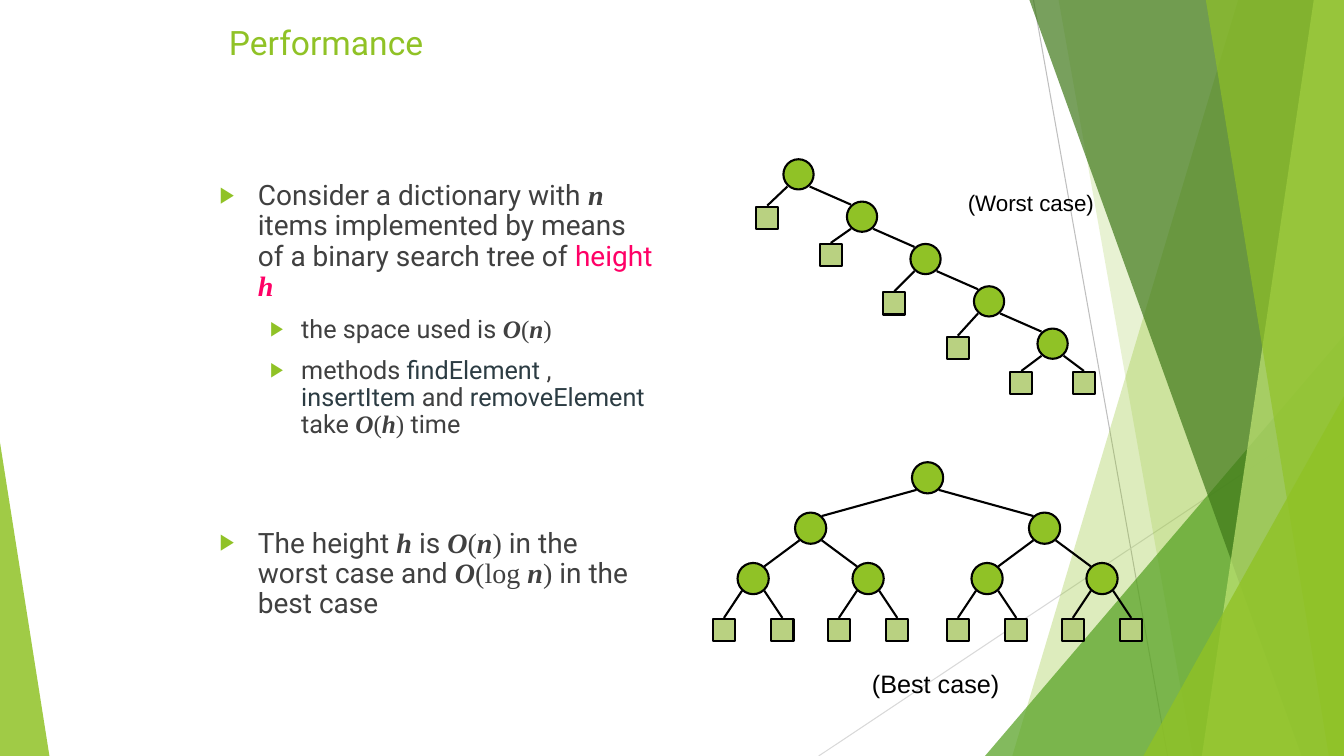
import pptx
import pptx.chart.data
import pptx.dml.color
import pptx.enum.shapes
import pptx.enum.text
import pptx.oxml
import pptx.oxml.ns
import pptx.util
from pptx.util import Inches, Pt

COLORS = {
    "green": "90C226", "mid": "54A021", "dark": "3F7819", "light": "C0E474",
    "leaf": "B9D181", "black": "000000", "text": "404040", "method": "2C3C43",
    "key": "FF0066", "gray": "BFBFBF", "pale": "D9D9D9",
}
WIDTH, HEIGHT = 13.33, 7.5

# Run styles: font, colour, bold and italic
STYLES = {
    "plain": ("Roboto", "text", False),
    "method": ("Roboto", "method", False),
    "key": ("Roboto", "key", False),
    "serif": ("Times New Roman", "text", False),
    "math": ("Times New Roman", "text", True),
    "key math": ("Times New Roman", "key", True),
}
# Level, space before, runs
BODY = [
    (0, 0, [("Consider a dictionary with ", "plain"), ("n", "math"),
            (" items implemented by means of a binary search tree of ", "plain"),
            ("height ", "key"), ("h", "key math")]),
    (1, 10, [("the space used is ", "plain"), ("O", "math"), ("(", "serif"),
             ("n", "math"), (")", "serif")]),
    (1, 10, [("methods ", "plain"), ("findElement ", "method"), (", ", "plain"),
             ("insertItem", "method"), (" and ", "plain"),
             ("removeElement", "method"), (" take ", "plain"), ("O", "math"),
             ("(", "serif"), ("h", "math"), (") ", "serif"), ("time", "plain")]),
    (0, 64, [("The height ", "plain"), ("h", "math"), (" is ", "plain"),
             ("O", "math"), ("(", "serif"), ("n", "math"), (") ", "serif"),
             ("in the worst case and ", "plain"), ("O", "math"),
             ("(log ", "serif"), ("n", "math"), (")", "serif"),
             (" in the best case", "plain")]),
]
# Size, left margin, hanging indent of each level
LEVELS = [(20, 0.38, -0.38), (18, 0.81, -0.31)]

# Text, left, top, width, height, size, wrap
CAPTIONS = [
    ("(Worst case)", 9.5, 1.83, 1.92, 0.37, 16, True),
    ("(Best case)", 8.55, 6.58, 1.47, 0.4, 18, False),
]
BACK_LINES = [
    ((10.25, 0), (11.58, HEIGHT), "gray"),
    ((WIDTH, 4.03), (8.12, HEIGHT), "pale"),
]
# Bands reach the right edge: left x at top, left x at bottom, colour, opacity.
# Triangles stand on the bottom edge: left, top, width, apex, colour, opacity.
BACK_SHAPES = [
    (12.28, 10.04, "green", 30),
    (10.5, 11.83, "green", 20),
    (9.77, 3.33, 3.56, 1, "mid", 72),
    (10.21, 12.91, "dark", 70),
    (13.03, 11.92, "light", 70),
    (11.96, 13.18, "green", 65),
    (11.34, 3.93, 1.99, 1, "green", 80),
    (0, 4.39, 0.49, 0, "green", 85),
]

WORST_ROOT, WORST_STEP, WORST_DIAMETER = (7.92, 1.73), (0.63, 0.42), 0.3
WORST_LEAF_TOPS = [2.05, 2.42, 2.9, 3.34, 3.69]
WORST_LEAF_OFFSET = 0.31
BEST_ROOT, BEST_DIAMETER = (9.2, 4.74), 0.31
BEST_LEVELS = [(1.16, 5.24), (0.57, 5.74), (0.29, 6.25)]  # x offset, y
LEAF_SIZE = 0.22
EDGE_X, EDGE_Y = 0.11, 0.12


def color(name):
    return pptx.dml.color.RGBColor.from_string(COLORS[name])


def apply(target, values):
    for name, value in values.items():
        setattr(target, name, value)


def add_line(slide, start, end, color_name, width):
    line = slide.shapes.add_connector(
        pptx.enum.shapes.MSO_CONNECTOR.STRAIGHT,
        *[Inches(value) for value in (*start, *end)])
    line.line.color.rgb = color(color_name)
    line.line.width = Pt(width)
    line._element.spPr.append(pptx.oxml.parse_xml(
        f'<a:effectLst {pptx.oxml.ns.nsdecls("a")}/>'))


def fill_shape(shape, color_name, opacity=100):
    shape.shadow.inherit = False
    shape.fill.solid()
    shape.fill.fore_color.rgb = color(color_name)
    if opacity < 100:
        fill = shape._element.spPr.find(".//" + pptx.oxml.ns.qn("a:srgbClr"))
        fill.append(pptx.oxml.parse_xml(
            f'<a:alpha {pptx.oxml.ns.nsdecls("a")} val="{opacity * 1000}"/>'))


def add_background(slide):
    for start, end, color_name in BACK_LINES:
        add_line(slide, start, end, color_name, 0.75)
    for *place, color_name, opacity in BACK_SHAPES:
        if len(place) == 2:
            top_x, bottom_x = place
            builder = slide.shapes.build_freeform(
                Inches(top_x), 0, scale=1.0)
            builder.add_line_segments(
                [(Inches(x), Inches(y)) for x, y in
                 ((WIDTH, 0), (WIDTH, HEIGHT), (bottom_x, HEIGHT))], close=True)
            shape = builder.convert_to_shape()
        else:
            left, top, width, apex = place
            shape = slide.shapes.add_shape(
                pptx.enum.shapes.MSO_SHAPE.ISOSCELES_TRIANGLE, Inches(left),
                Inches(top), Inches(width), Inches(HEIGHT - top))
            shape.adjustments[0] = apex
        fill_shape(shape, color_name, opacity)
        shape.line.fill.background()


def worst_tree():
    """Return nodes as (centre x, centre y, is leaf, parent index)."""
    inner, leaves = [], []
    for index, top in enumerate(WORST_LEAF_TOPS):
        x, y = (start + index * step for start, step in zip(WORST_ROOT, WORST_STEP))
        inner.append((x, y, False, index - 1 if index else None))
        leaves.append((x - WORST_LEAF_OFFSET, top + LEAF_SIZE / 2, True, index))
    leaves.append((x + WORST_LEAF_OFFSET, top + LEAF_SIZE / 2, True, index))
    return inner + leaves


def best_tree():
    """Return nodes as (centre x, centre y, is leaf, parent index)."""
    nodes = [(*BEST_ROOT, False, None)]
    level = [0]
    for offset, y in BEST_LEVELS:
        children = []
        for parent in level:
            for side in (-1, 1):
                children.append(len(nodes))
                nodes.append((nodes[parent][0] + side * offset, y,
                              y == BEST_LEVELS[-1][1], parent))
        level = children
    return nodes


def draw_tree(slide, nodes, diameter):
    for x, y, is_leaf, parent in nodes:
        if parent is not None:
            parent_x, parent_y = nodes[parent][:2]
            shift = EDGE_X if x > parent_x else -EDGE_X
            add_line(slide, (parent_x + shift, parent_y + EDGE_Y),
                     (x if is_leaf else x - shift, y - EDGE_Y), "black", 1.5)
    shapes = pptx.enum.shapes.MSO_SHAPE
    for x, y, is_leaf, parent in nodes:
        size = LEAF_SIZE if is_leaf else diameter
        shape = slide.shapes.add_shape(
            shapes.RECTANGLE if is_leaf else shapes.OVAL, Inches(x - size / 2),
            Inches(y - size / 2), Inches(size), Inches(size))
        fill_shape(shape, "leaf" if is_leaf else "green")
        shape.line.color.rgb = color("black")
        shape.line.width = Pt(1.5)


def add_run(paragraph, text, font, color_name, size, emphasis=False):
    run = paragraph.add_run()
    run.text = text
    apply(run.font, {"name": font, "size": Pt(size), "bold": emphasis,
                     "italic": emphasis})
    run.font.color.rgb = color(color_name)


def add_bullet(paragraph, margin, indent):
    properties = paragraph._p.get_or_add_pPr()
    properties.set("marL", str(Inches(margin)))
    properties.set("indent", str(Inches(indent)))
    for xml in (f'<a:buClr {{}}><a:srgbClr val="{COLORS["green"]}"/></a:buClr>',
                '<a:buSzPct {} val="80000"/>',
                '<a:buFont {} typeface="Arial"/>',
                '<a:buChar {} char="▶"/>'):
        properties.append(pptx.oxml.parse_xml(
            xml.format(pptx.oxml.ns.nsdecls("a"))))


def add_body(slide):
    box = slide.shapes.add_textbox(Inches(2.08), Inches(1.75), Inches(4.5), Inches(5))
    frame = box.text_frame
    frame.word_wrap = True
    for index, (level, space, runs) in enumerate(BODY):
        paragraph = frame.add_paragraph() if index else frame.paragraphs[0]
        size, margin, indent = LEVELS[level]
        add_bullet(paragraph, margin, indent)
        apply(paragraph, {"level": level, "line_spacing": 0.9,
                          "space_before": Pt(space)})
        for text, style in runs:
            font, color_name, emphasis = STYLES[style]
            add_run(paragraph, text, font, color_name, size, emphasis)


def add_title(slide):
    title = slide.shapes.title
    apply(title, {"left": Inches(2.17), "top": Inches(0.17),
                  "width": Inches(9), "height": Inches(0.83)})
    title.text_frame.vertical_anchor = pptx.enum.text.MSO_ANCHOR.TOP
    paragraph = title.text_frame.paragraphs[0]
    paragraph.alignment = pptx.enum.text.PP_ALIGN.LEFT
    add_run(paragraph, "Performance", "Roboto", "green", 24)


def main():
    presentation = pptx.Presentation()
    apply(presentation, {"slide_width": Inches(WIDTH), "slide_height": Inches(HEIGHT)})
    slide = presentation.slides.add_slide(presentation.slide_layouts[5])
    add_background(slide)
    add_title(slide)
    add_body(slide)
    draw_tree(slide, worst_tree(), WORST_DIAMETER)
    draw_tree(slide, best_tree(), BEST_DIAMETER)
    for text, left, top, width, height, size, wrap in CAPTIONS:
        box = slide.shapes.add_textbox(
            *[Inches(value) for value in (left, top, width, height)])
        box.text_frame.word_wrap = wrap
        add_run(box.text_frame.paragraphs[0], text, "Arial", "black", size)
    presentation.save("out.pptx")


if __name__ == "__main__":
    main()
